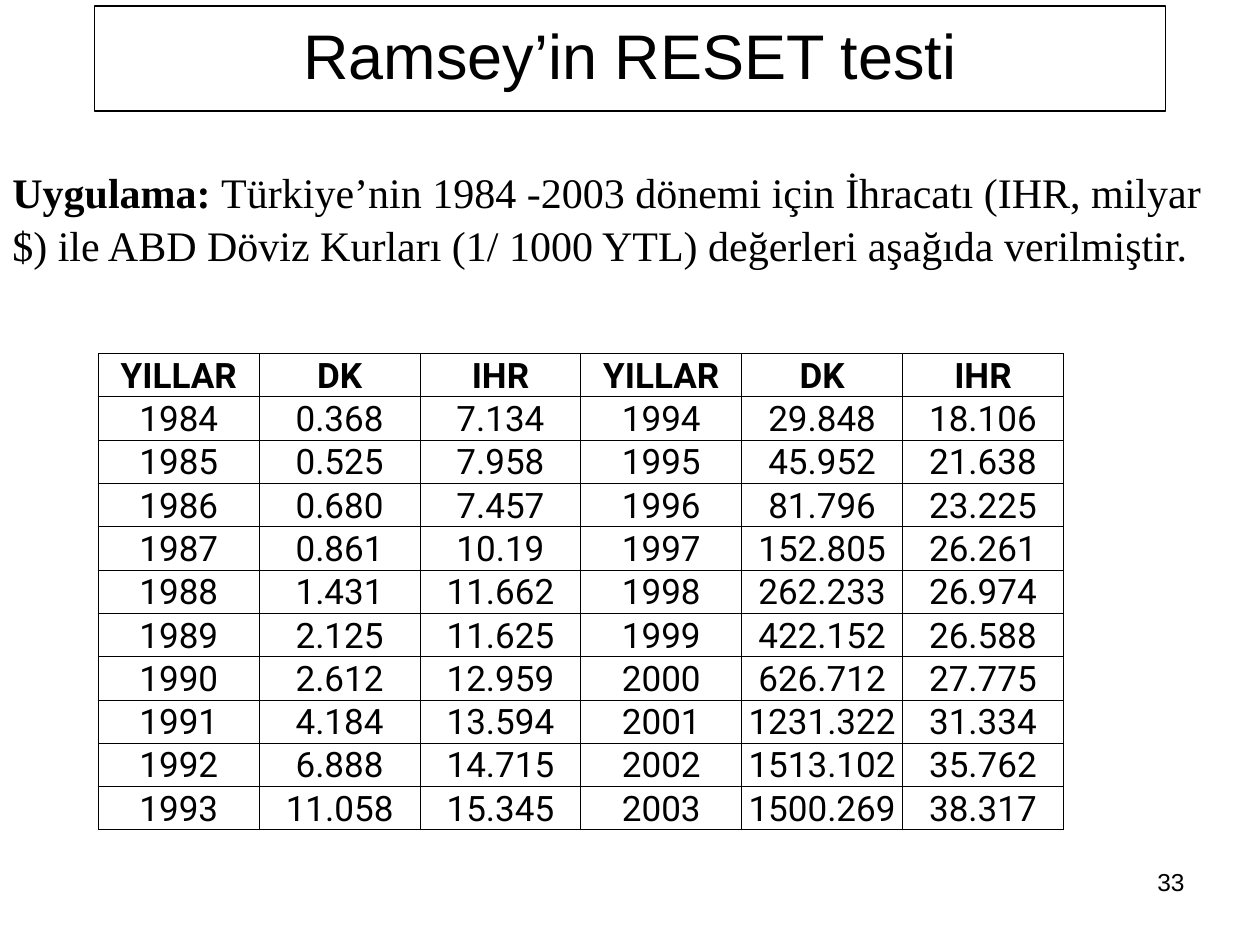
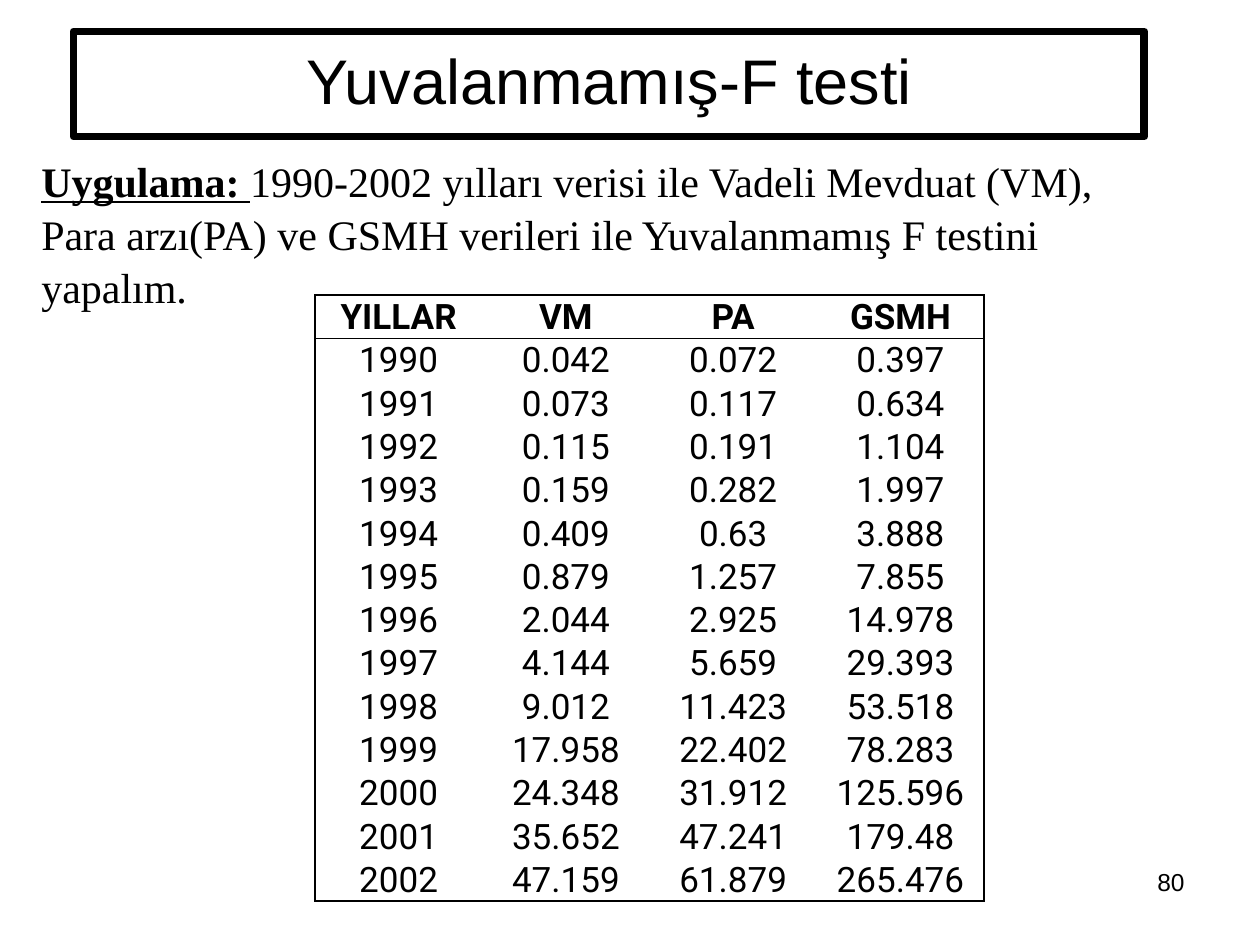
from lxml import etree
from pptx import Presentation
from pptx.dml.color import RGBColor
from pptx.enum.shapes import MSO_SHAPE
from pptx.enum.text import MSO_ANCHOR, PP_ALIGN
from pptx.oxml.ns import qn
from pptx.util import Pt

BLACK = RGBColor(0x00, 0x00, 0x00)
TITLE_FONT, BODY_FONT, TABLE_FONT = "Arial", "Times New Roman", "Roboto"
RECTANGLE = MSO_SHAPE.RECTANGLE
TOP, MIDDLE, BOTTOM = MSO_ANCHOR.TOP, MSO_ANCHOR.MIDDLE, MSO_ANCHOR.BOTTOM
CENTER, RIGHT = PP_ALIGN.CENTER, PP_ALIGN.RIGHT

PAGE_WIDTH, PAGE_HEIGHT = 720, 540
TITLE_SIZE = (612, 60)
PAGE_NUMBER_BOX = (516, 492, 168, 37.5)
ROW_HEIGHT = 24.75

EXCHANGE_AND_EXPORTS = """
YILLAR DK IHR YILLAR DK IHR
1984 0.368 7.134 1994 29.848 18.106
1985 0.525 7.958 1995 45.952 21.638
1986 0.680 7.457 1996 81.796 23.225
1987 0.861 10.19 1997 152.805 26.261
1988 1.431 11.662 1998 262.233 26.974
1989 2.125 11.625 1999 422.152 26.588
1990 2.612 12.959 2000 626.712 27.775
1991 4.184 13.594 2001 1231.322 31.334
1992 6.888 14.715 2002 1513.102 35.762
1993 11.058 15.345 2003 1500.269 38.317
"""

DEPOSITS_AND_MONEY = """
YILLAR VM PA GSMH
1990 0.042 0.072 0.397
1991 0.073 0.117 0.634
1992 0.115 0.191 1.104
1993 0.159 0.282 1.997
1994 0.409 0.63 3.888
1995 0.879 1.257 7.855
1996 2.044 2.925 14.978
1997 4.144 5.659 29.393
1998 9.012 11.423 53.518
1999 17.958 22.402 78.283
2000 24.348 31.912 125.596
2001 35.652 47.241 179.48
2002 47.159 61.879 265.476
"""


def set_font(target, name, size, bold=False):
    font = target.font
    font.name, font.size, font.bold = name, Pt(size), bold
    font.color.rgb = BLACK


def add_title(page, text, left, top, line_width):
    width, height = TITLE_SIZE
    frame = page.shapes.add_shape(RECTANGLE, Pt(left), Pt(top), Pt(width), Pt(height))
    frame.shadow.inherit = False
    frame.fill.background()
    frame.line.color.rgb = BLACK
    frame.line.width = Pt(line_width)
    frame.text_frame.vertical_anchor = MIDDLE
    para = frame.text_frame.paragraphs[0]
    para.text = text
    para.alignment = CENTER
    para.line_spacing = 0.9
    set_font(para, TITLE_FONT, 36)


def add_text_box(page, box):
    """Add a wrapping text box and return its first paragraph."""
    text_frame = page.shapes.add_textbox(*map(Pt, box)).text_frame
    text_frame.word_wrap = True
    text_frame.vertical_anchor = TOP
    return text_frame.paragraphs[0]


def add_exercise(page, text, box, underlined=False):
    para = add_text_box(page, box)
    para.line_spacing = 1.05
    set_font(para, BODY_FONT, 24)
    label = para.add_run()
    label.text = "Uygulama: "
    label.font.bold = True
    if underlined:
        label.font.underline = True
    para.add_run().text = text


def add_page_number(page, number):
    para = add_text_box(page, PAGE_NUMBER_BOX)
    para.text = str(number)
    para.alignment = RIGHT
    set_font(para, TITLE_FONT, 14)


def set_borders(cell, widths):
    """Draw left, right, top and bottom borders; a width of 0 means none."""
    properties = cell._tc.get_or_add_tcPr()
    for side, width in zip("LRTB", widths):
        line = etree.SubElement(properties, qn(f"a:ln{side}"), w=str(Pt(width)))
        if width:
            fill = etree.SubElement(line, qn("a:solidFill"))
            etree.SubElement(fill, qn("a:srgbClr"), val=str(BLACK))
        else:
            etree.SubElement(line, qn("a:noFill"))


def grid_borders(row, column, row_count, column_count):
    return (0.5,) * 4


def outline_borders(row, column, row_count, column_count):
    """Frame the whole table and rule off its header row."""
    return (
        1 if column == 0 else 0,
        1 if column == column_count - 1 else 0,
        {0: 1, 1: 0.5}.get(row, 0),
        {0: 0.5, row_count - 1: 1}.get(row, 0),
    )


def add_data_table(page, data, left, top, column_width, borders):
    rows = [line.split() for line in data.strip().splitlines()]
    row_count, column_count = len(rows), len(rows[0])
    table = page.shapes.add_table(
        row_count, column_count, Pt(left), Pt(top),
        Pt(column_width * column_count), Pt(ROW_HEIGHT * row_count),
    ).table
    table.first_row = table.horz_banding = False
    for row, values in enumerate(rows):
        for column, value in enumerate(values):
            cell = table.cell(row, column)
            cell.margin_left = cell.margin_right = cell.margin_top = Pt(0.7)
            cell.margin_bottom = 0
            cell.vertical_anchor = BOTTOM
            set_borders(cell, borders(row, column, row_count, column_count))
            cell.fill.background()
            para = cell.text_frame.paragraphs[0]
            para.text = value
            para.alignment = CENTER
            set_font(para, TABLE_FONT, 20, bold=row == 0)


def build_reset_test(page):
    add_page_number(page, 33)
    add_title(page, "Ramsey’in RESET testi", 54, 3.5, 0.75)
    add_exercise(
        page,
        "Türkiye’nin 1984 -2003 dönemi için İhracatı (IHR, milyar $) ile "
        "ABD Döviz Kurları (1/ 1000 YTL) değerleri aşağıda verilmiştir.",
        (0, 90, 703.5, 65),
    )
    add_data_table(page, EXCHANGE_AND_EXPORTS, 56.25, 202, 91.9, grid_borders)


def build_non_nested_test(page):
    add_page_number(page, 80)
    add_title(page, "Yuvalanmamış-F testi", 42, 18, 4.5)
    add_exercise(
        page,
        "1990-2002 yılları verisi ile Vadeli Mevduat (VM), Para arzı(PA) ve "
        "GSMH verileri ile Yuvalanmamış F testini yapalım.",
        (16.5, 84, 636, 94.5),
        underlined=True,
    )
    add_data_table(page, DEPOSITS_AND_MONEY, 180, 168.5, 95.6, outline_borders)


def main():
    deck = Presentation()
    deck.slide_width, deck.slide_height = Pt(PAGE_WIDTH), Pt(PAGE_HEIGHT)
    blank = deck.slide_layouts[6]
    for build in (build_reset_test, build_non_nested_test):
        build(deck.slides.add_slide(blank))
    deck.save("out.pptx")


if __name__ == "__main__":
    main()
